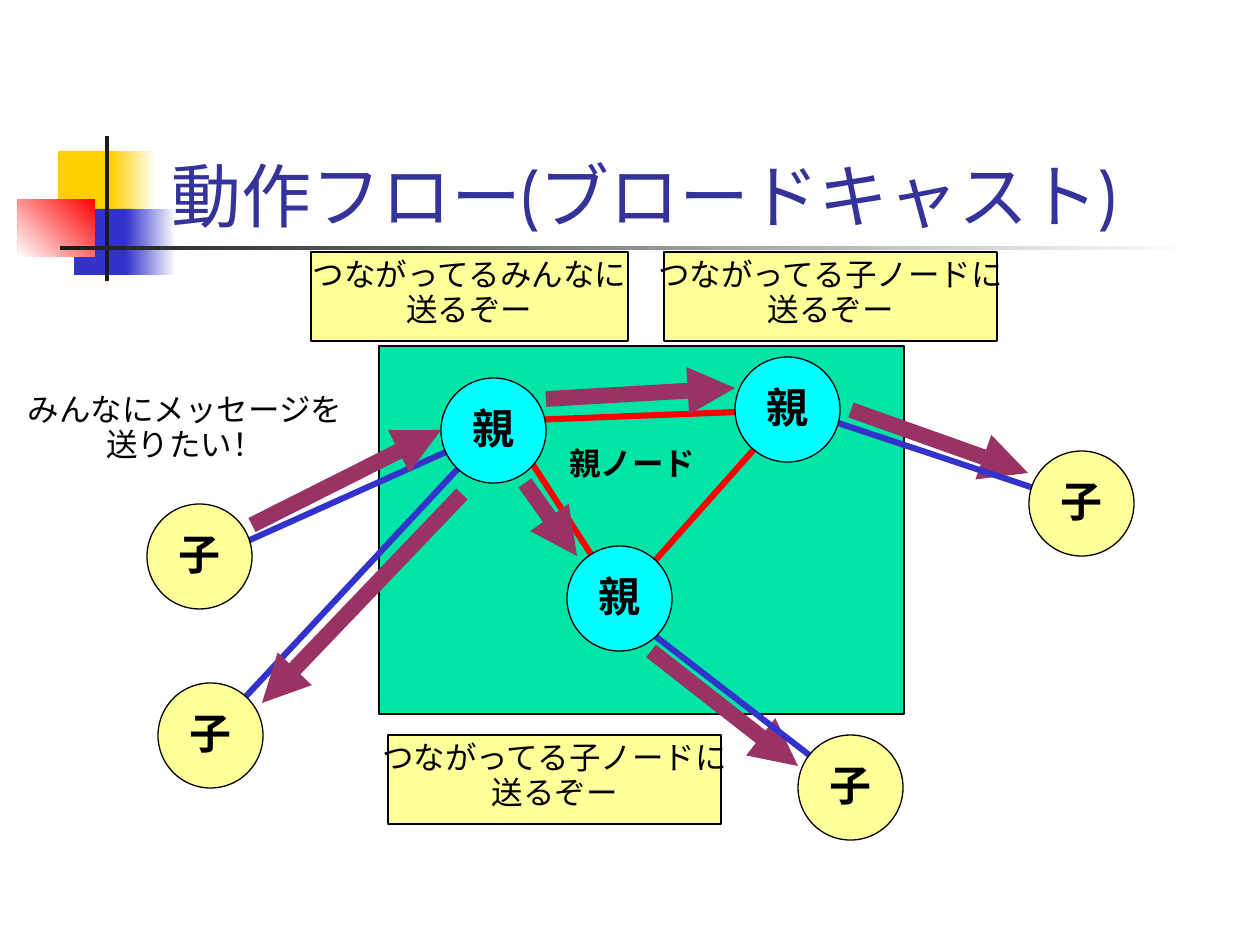
"""Draw the broadcast flow between parent and child nodes."""
from lxml.etree import SubElement
from pptx import Presentation
from pptx.dml.color import RGBColor as RGB
from pptx.enum.shapes import MSO_CONNECTOR as CONN, MSO_SHAPE as SHAPE
from pptx.enum.text import MSO_ANCHOR as ANCHOR, PP_ALIGN as ALIGN
from pptx.oxml.ns import qn
from pptx.util import Pt

SCALE = 914400 / 126
FONT = "Cabin"
NODE = 105
HEX = {
    "white": "FFFFFF", "black": "000000", "dark": "1C1C1C",
    "gold": "FFCF01", "blue": "3333CC", "red": "FF0000",
    "title": "333399", "green": "00E4A8", "cyan": "00FFFF",
    "cream": "FFFF99", "plum": "993366",
}
BLOCKS = [
    ((58, 151, 60, 66), "gold"), ((111, 151, 45, 66), ("white", "gold", 180)),
    ((74, 209, 58, 66), "blue"), ((126, 209, 50, 66), ("white", "blue", 180)),
    ((18, 199, 77, 58), ("red", "white", 225)),
    ((105, 136, 4, 145), "dark"), ((60, 246, 1134, 4), ("white", "dark", 180)),
]
LINKS = [
    ((621, 599), (789, 410), "red"), ((212, 557), (495, 430), "blue"),
    ((505, 421), (789, 410), "red"), ((620, 599), (504, 420), "red"),
    ((852, 788), (620, 609), "blue"), ((799, 410), (1082, 504), "blue"),
    ((210, 735), (494, 430), "blue"),
]
RELAYS = [((851, 410), (1028, 473)), ((651, 651), (798, 766))]
SENDS = [
    ((252, 525), (441, 430)), ((546, 399), (735, 388)),
    ((525, 483), (577, 556)), ((462, 494), (262, 703)),
]
PARENTS = [(441, 378), (735, 357), (567, 546)]
CHILDREN = [(1029, 451), (147, 504), (158, 683), (798, 735)]
NOTES = [
    ((311, 252, 317, 89), "つながってるみんなに\v送るぞー"),
    ((664, 252, 333, 89), "つながってる子ノードに\v送るぞー"),
    ((388, 735, 333, 89), "つながってる子ノードに\v送るぞー"),
]


def px(*nums):
    """Turn pixel lengths into EMU."""
    return [round(n * SCALE) for n in nums]


def rgb(name):
    """Look up a named colour."""
    return RGB.from_string(HEX[name])


def write(shape, text, size, color="black", bold=False,
          align=ALIGN.CENTER, anchor=ANCHOR.TOP, wrap=False):
    """Set and format the text of a shape."""
    frame = shape.text_frame
    frame.text = text
    frame.word_wrap = wrap
    frame.vertical_anchor = anchor
    for para in frame.paragraphs:
        para.alignment = align
        para.line_spacing = 0.93
        para.font.size = Pt(size)
        for run in para.runs:
            font = run.font
            font.name, font.size, font.bold = FONT, Pt(size), bold
            font.color.rgb = rgb(color)


def shade(fill, first, last, angle):
    """Fill with a two-colour gradient."""
    fill.gradient()
    fill.gradient_angle = angle
    for stop, name in zip(fill.gradient_stops, (first, last)):
        stop.color.rgb = rgb(name)


def block(slide, box, fill, kind=SHAPE.RECTANGLE, edge=False):
    """Add a filled shape, with a thin black edge if asked."""
    shape = slide.shapes.add_shape(kind, *px(*box))
    shape.shadow.inherit = False
    if isinstance(fill, tuple):
        shade(shape.fill, *fill)
    else:
        shape.fill.solid()
        shape.fill.fore_color.rgb = rgb(fill)
    if edge:
        shape.line.color.rgb = rgb("black")
        shape.line.width = Pt(0.75)
    else:
        shape.line.fill.background()
    return shape


def label(slide, box, text, size, **style):
    """Add a text box."""
    write(slide.shapes.add_textbox(*px(*box)), text, size, **style)


def link(slide, start, end, color, width=3.5, head=False):
    """Add a straight line, with an arrowhead if asked."""
    line = slide.shapes.add_connector(CONN.STRAIGHT, *px(*start, *end))
    line.line.color.rgb = rgb(color)
    line.line.width = Pt(width)
    if head:
        SubElement(line.line._get_or_add_ln(), qn("a:tailEnd"), type="triangle")
    SubElement(line._element.spPr, qn("a:effectLst"))


def arrow(slide, start, end):
    """Add a thick message arrow."""
    link(slide, start, end, "plum", 9, True)


def node(slide, spot, text, fill):
    """Add a round node with its name."""
    shape = block(slide, (*spot, NODE, NODE), fill, SHAPE.OVAL, True)
    write(shape, text, 24, bold=True, anchor=ANCHOR.MIDDLE)


def note(slide, box, text):
    """Add a boxed remark."""
    write(block(slide, box, "cream", edge=True), text, 18)


def main():
    """Build and save the slide."""
    prs = Presentation()
    prs.slide_width, prs.slide_height = px(1260, 945)
    slide = prs.slides.add_slide(prs.slide_layouts[6])
    for box, fill in BLOCKS:
        block(slide, box, fill)
    block(slide, (379, 346, 525, 368), "green", edge=True)
    label(slide, (159, 100, 1074, 144), "動作フロー(ブロードキャスト)", 40,
          color="title", align=ALIGN.LEFT, anchor=ANCHOR.BOTTOM, wrap=True)
    label(slide, (15, 387, 340, 83), "みんなにメッセージを\v送りたい！", 18)
    for ends in RELAYS:
        arrow(slide, *ends)
    for ends in LINKS:
        link(slide, *ends)
    label(slide, (557, 441, 168, 48), "親ノード", 18,
          bold=True, align=ALIGN.LEFT, wrap=True)
    for spot in PARENTS:
        node(slide, spot, "親", "cyan")
    for spot in CHILDREN:
        node(slide, spot, "子", "cream")
    for box, text in NOTES:
        note(slide, box, text)
    for ends in SENDS:
        arrow(slide, *ends)
    prs.save("out.pptx")


if __name__ == "__main__":
    main()
